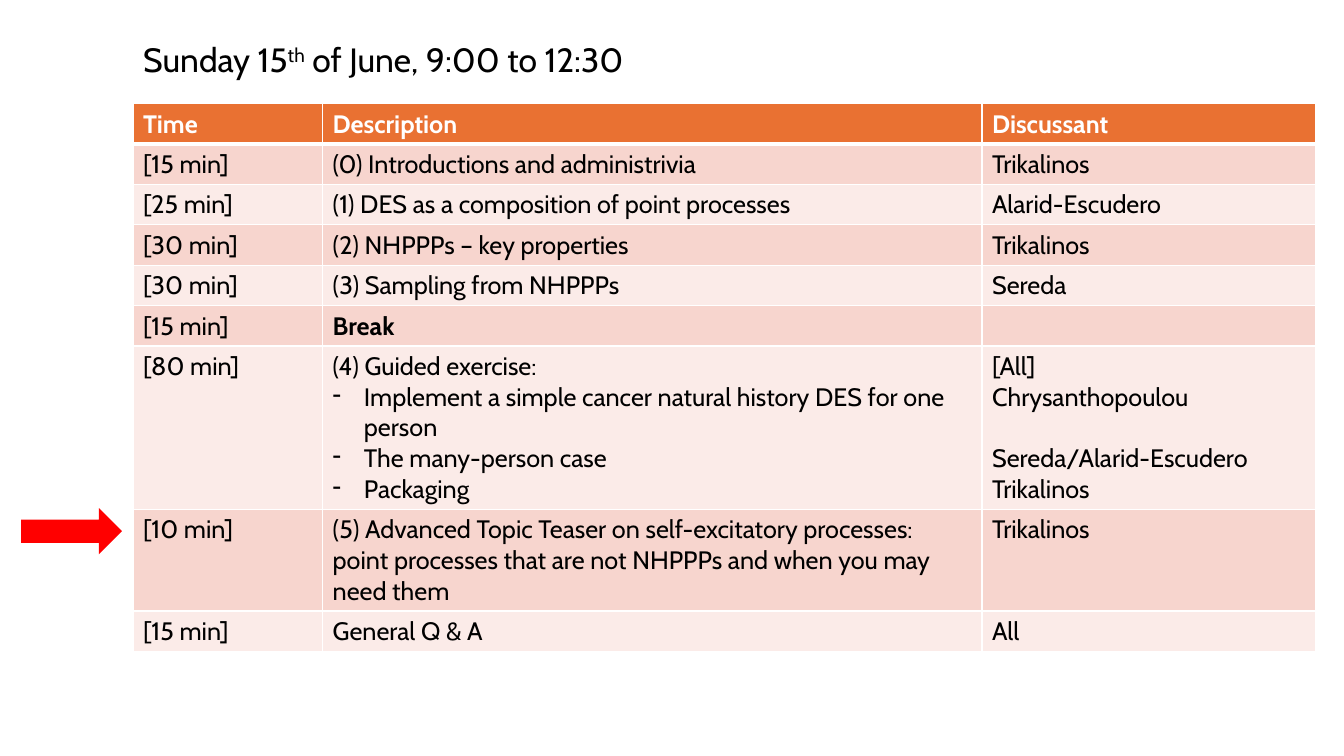
import pptx
import pptx.dml.color
import pptx.enum.shapes
import pptx.enum.text
import pptx.oxml
import pptx.oxml.ns
import pptx.util

Inches = pptx.util.Inches
Pt = pptx.util.Pt

COLORS = {
    "text": "000000",
    "white": "FFFFFF",
    "header": "E97132",
    "band_dark": "F7D5CE",
    "band_light": "FBEBE8",
    "arrow": "FF0000",
}
COLUMN_WIDTHS = [1.88, 6.54, 3.31]
ROW_HEIGHT = 0.4
TALL_ROWS = {6: 1.62, 7: 1.01}
LINE_HEIGHT = 22

# A line starting with "- " is a bullet; an empty line leaves a one-line gap.
AGENDA = [
    ("Time", "Description", "Discussant"),
    ("[15 min]", "(0) Introductions and administrivia", "Trikalinos"),
    ("[25 min]", "(1) DES as a composition of point processes", "Alarid-Escudero"),
    ("[30 min]", "(2) NHPPPs – key properties", "Trikalinos"),
    ("[30 min]", "(3) Sampling from NHPPPs", "Sereda"),
    ("[15 min]", "Break", ""),
    ("[80 min]",
     "(4) Guided exercise:\n"
     "- Implement a simple cancer natural history DES for one person\n"
     "- The many-person case\n"
     "- Packaging",
     "[All]\nChrysanthopoulou\n\nSereda/Alarid-Escudero\nTrikalinos"),
    ("[10 min]",
     "(5) Advanced Topic Teaser on self-excitatory processes: point processes "
     "that are not NHPPPs and when you may need them",
     "Trikalinos"),
    ("[15 min]", "General Q & A", "All"),
]


def rgb(name):
    return pptx.dml.color.RGBColor.from_string(COLORS[name])


class AgendaSlide:
    font_name = "Cabin"

    def __init__(self, prs):
        self.slide = prs.slides.add_slide(prs.slide_layouts[5])

    def add_run(self, p, text, color="text", size=18, bold=False):
        r = p.add_run()
        r.text = text
        style = {"name": self.font_name, "size": Pt(size), "bold": bold}
        for key, value in style.items():
            setattr(r.font, key, value)
        r.font.color.rgb = rgb(color)
        return r

    def title(self, parts, left, top, width, height):
        """Fill the title from (text, is_superscript) pairs."""
        sp = self.slide.shapes.title
        box = {"left": left, "top": top, "width": width, "height": height}
        for key, value in box.items():
            setattr(sp, key, Inches(value))
        tf = sp.text_frame
        frame = {
            "word_wrap": False,
            "auto_size": pptx.enum.text.MSO_AUTO_SIZE.SHAPE_TO_FIT_TEXT,
            "vertical_anchor": pptx.enum.text.MSO_ANCHOR.TOP,
        }
        for key, value in frame.items():
            setattr(tf, key, value)
        p = tf.paragraphs[0]
        p.alignment = pptx.enum.text.PP_ALIGN.LEFT
        for text, superscript in parts:
            r = self.add_run(p, text, size=24)
            if superscript:
                r._r.get_or_add_rPr().set("baseline", "30000")

    def arrow(self, left, top, width, height):
        sp = self.slide.shapes.add_shape(
            pptx.enum.shapes.MSO_SHAPE.RIGHT_ARROW,
            *map(Inches, (left, top, width, height)))
        sp.shadow.inherit = False
        sp.fill.solid()
        sp.fill.fore_color.rgb = rgb("arrow")
        sp.line.fill.background()

    def table(self, rows, left, top):
        heights = [TALL_ROWS.get(i, ROW_HEIGHT) for i in range(len(rows))]
        frame = self.slide.shapes.add_table(
            len(rows), len(COLUMN_WIDTHS), Inches(left), Inches(top),
            Inches(sum(COLUMN_WIDTHS)), Inches(sum(heights)))
        table = frame.table
        for column, width in zip(table.columns, COLUMN_WIDTHS):
            column.width = Inches(width)
        for i, (row, texts) in enumerate(zip(table.rows, rows)):
            row.height = Inches(heights[i])
            for cell, text in zip(row.cells, texts):
                self.cell(cell, text, i)

    def cell(self, cell, text, row):
        self.borders(cell, row)
        header = row == 0
        band = "band_dark" if row % 2 else "band_light"
        cell.fill.solid()
        cell.fill.fore_color.rgb = rgb("header" if header else band)
        p = cell.text_frame.paragraphs[0]
        gap = False
        for i, line in enumerate(text.split("\n")):
            if not line:
                gap = True
                continue
            if i:
                p = cell.text_frame.add_paragraph()
            if gap:
                p.space_before = Pt(LINE_HEIGHT)
                gap = False
            if line.startswith("- "):
                self.bullet(p)
            self.add_run(p, line.removeprefix("- "),
                         "white" if header else "text",
                         bold=header or text == "Break")

    def bullet(self, p):
        pPr = p._p.get_or_add_pPr()
        pPr.set("marL", str(Inches(0.31)))
        pPr.set("indent", str(-Inches(0.31)))
        pPr.append(pptx.oxml.parse_xml(
            f'<a:buChar {pptx.oxml.ns.nsdecls("a")} char="-"/>'))

    def borders(self, cell, row):
        """Draw white cell edges, thicker between the header and the body."""
        tcPr = cell._tc.get_or_add_tcPr()
        for side in "LRTB":
            thick = (row, side) in {(0, "B"), (1, "T")}
            tcPr.append(pptx.oxml.parse_xml(
                f'<a:ln{side} {pptx.oxml.ns.nsdecls("a")} w="{Pt(3 if thick else 1)}">'
                f'<a:solidFill><a:srgbClr val="{COLORS["white"]}"/></a:solidFill>'
                f'</a:ln{side}>'))


def main():
    prs = pptx.Presentation()
    prs.slide_width = Inches(13.33)
    prs.slide_height = Inches(7.5)
    s = AgendaSlide(prs)
    s.table(AGENDA, 1.32, 1.03)
    s.arrow(0.21, 5.04, 1, 0.46)
    s.title([("Sunday 15", False), ("th", True), (" of June, 9:00 to 12:30", False)],
            1.32, 0.34, 5.04, 0.5)
    prs.save("out.pptx")


if __name__ == "__main__":
    main()
